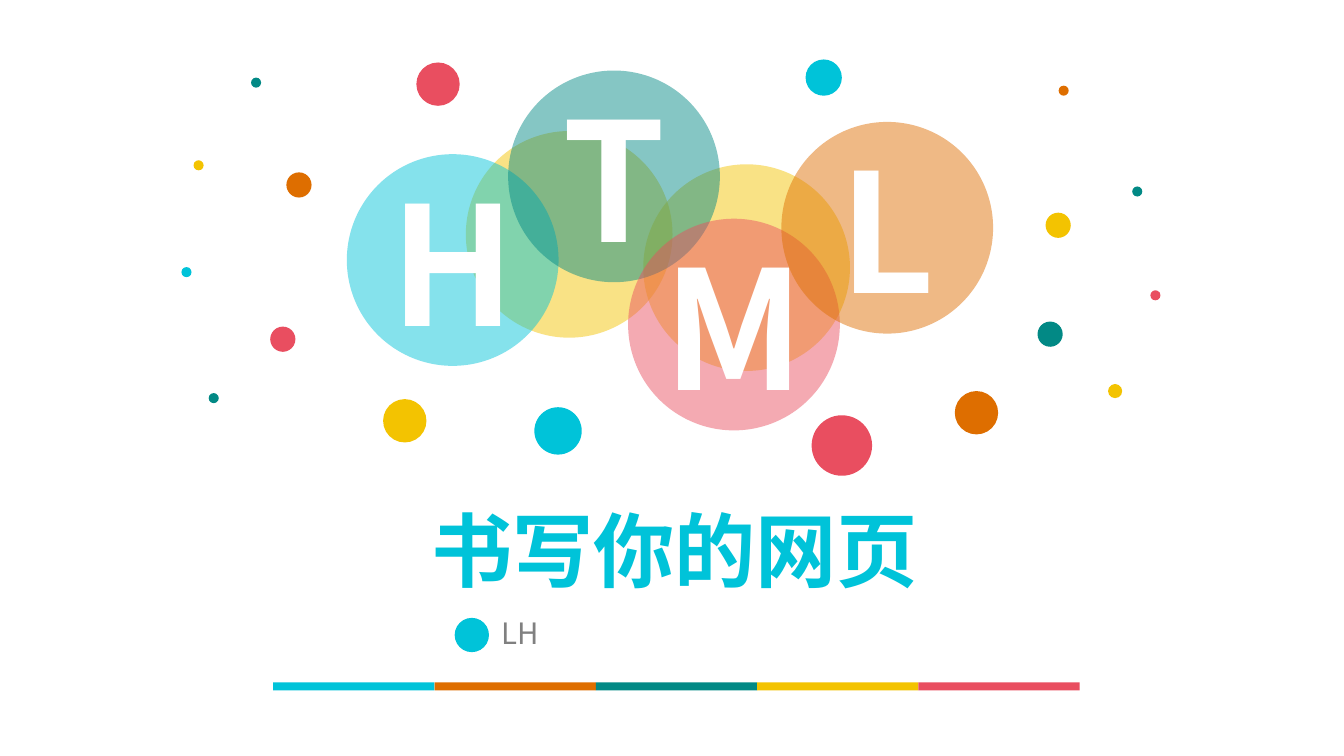
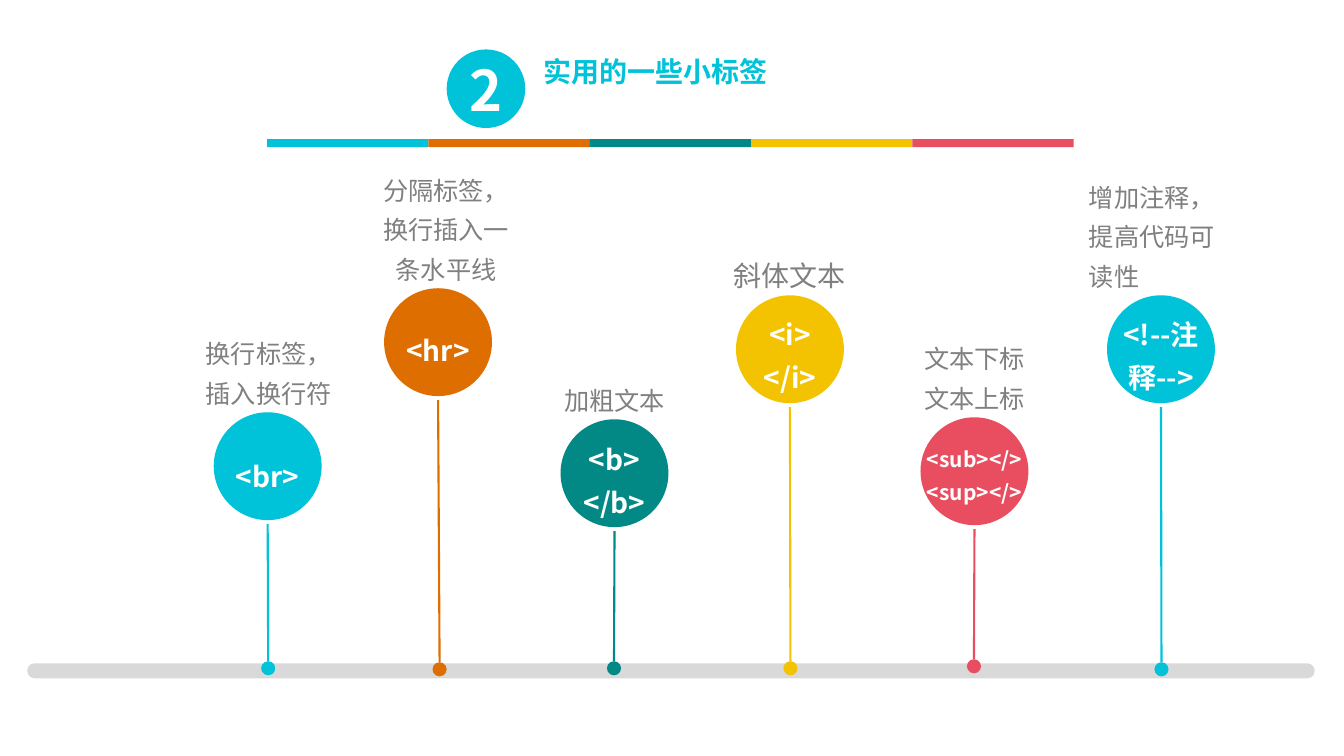
from dataclasses import dataclass

from lxml.etree import SubElement
from pptx import Presentation
from pptx.dml.color import RGBColor
from pptx.enum.shapes import MSO_CONNECTOR, MSO_SHAPE
from pptx.enum.text import MSO_ANCHOR, PP_ALIGN
from pptx.oxml.ns import qn
from pptx.util import Inches, Pt

CYAN = RGBColor(0x00, 0xC3, 0xD9)
ORANGE = RGBColor(0xDE, 0x6E, 0x00)
TEAL = RGBColor(0x02, 0x89, 0x85)
YELLOW = RGBColor(0xF3, 0xC3, 0x01)
RED = RGBColor(0xE9, 0x4E, 0x60)
GRAY = RGBColor(0x80, 0x80, 0x80)
LIGHT_GRAY = RGBColor(0xD9, 0xD9, 0xD9)
WHITE = RGBColor(0xFF, 0xFF, 0xFF)

FONT = "Noto Sans CJK SC"
BAND_COLORS = (CYAN, ORANGE, TEAL, YELLOW, RED)
BAND_STEP = 1.6
BALL_SIZE = 1.07
LABEL_WIDTH = 1.57
DOT_SIZE = 0.14
STEM_GAP = 0.04

LETTER_SIZE = 2.1
LETTERS = (
    ("H", 3.44, 1.53, CYAN),
    ("T", 5.04, 0.7, TEAL),
    ("M", 6.23, 2.17, RED),
    ("L", 7.75, 1.21, ORANGE),
)
BUBBLES = (
    (7.99, 0.59, 0.36, CYAN),
    (8.05, 4.12, 0.6, RED),
    (4.13, 0.62, 0.43, RED),
    (5.3, 4.04, 0.47, CYAN),
    (2.84, 1.71, 0.25, ORANGE),
    (2.49, 0.77, 0.1, TEAL),
    (1.92, 1.59, 0.1, YELLOW),
    (3.8, 3.96, 0.43, YELLOW),
    (2.68, 3.24, 0.25, RED),
    (1.8, 2.65, 0.1, CYAN),
    (2.07, 3.9, 0.1, TEAL),
    (10.37, 2.11, 0.25, YELLOW),
    (10.5, 0.85, 0.1, ORANGE),
    (11.23, 1.85, 0.1, TEAL),
    (9.47, 3.88, 0.43, ORANGE),
    (10.29, 3.19, 0.25, TEAL),
    (11.41, 2.88, 0.1, RED),
    (10.99, 3.81, 0.14, YELLOW),
)
ROOF = ((4.54, 6.3), (4.68, 6.16), (4.81, 6.3), (4.78, 6.32), (4.68, 6.2), (4.57, 6.32))
HOUSE = (
    (4.58, 6.32), (4.68, 6.22), (4.77, 6.32), (4.77, 6.41), (4.71, 6.41),
    (4.71, 6.32), (4.65, 6.32), (4.65, 6.41), (4.58, 6.41),
)


@dataclass
class Pin:
    tag: str
    label: str
    color: RGBColor
    left: float
    top: float
    tag_top: float
    label_left: float
    label_height: float
    dot_left: float
    dot_top: float
    tag_size: int = 20
    label_size: int = 18
    label_align: PP_ALIGN = PP_ALIGN.CENTER


PINS = (
    Pin("<br>", "换行标签，插入换行符", CYAN, 2.12, 4.09, 4.33, 1.88, 0.86, 2.59, 6.56),
    Pin("<hr>", "分隔标签，换行插入一条水平线", ORANGE, 3.81, 2.86, 3.08, 3.64, 1.25, 4.29, 6.57),
    Pin("<b>\n</b>", "加粗文本", TEAL, 5.56, 4.16, 4.37, 5.31, 0.47, 6.02, 6.56),
    Pin("<i>\n</i>", "斜体文本", YELLOW, 7.3, 2.93, 3.13, 7.05, 0.51, 7.77, 6.56,
        label_size=20),
    Pin("<sub></>\n<sup></>", "文本下标\n文本上标", RED, 9.13, 4.14, 4.33, 8.88, 0.86,
        9.59, 6.54, tag_size=15),
    Pin("<!--注释-->", "增加注释，提高代码可读性", CYAN, 10.98, 2.93, 3.13, 10.73, 1.25,
        11.45, 6.57, label_align=PP_ALIGN.LEFT),
)


def write_text(shape, text, size, color, bold=False, align=PP_ALIGN.LEFT,
               anchor=MSO_ANCHOR.MIDDLE, spacing=None, insets=(0, 0)):
    frame = shape.text_frame
    frame.word_wrap = True
    frame.vertical_anchor = anchor
    frame.margin_left = frame.margin_right = Inches(insets[0])
    frame.margin_top = frame.margin_bottom = Inches(insets[1])
    for index, line in enumerate(text.split("\n")):
        para = frame.add_paragraph() if index else frame.paragraphs[0]
        para.alignment = align
        if spacing:
            para.line_spacing = spacing
        span = para.add_run()
        span.text = line
        span.font.name = FONT
        span.font.size = Pt(size)
        span.font.bold = bold
        span.font.color.rgb = color
        SubElement(span.font._element, qn("a:ea")).set("typeface", FONT)


def add_text(page, text, left, top, width, height, **text_format):
    box = page.shapes.add_textbox(Inches(left), Inches(top), Inches(width), Inches(height))
    write_text(box, text, **text_format)
    return box


def paint(shape, color, opacity=None):
    shape.shadow.inherit = False
    shape.line.fill.background()
    shape.fill.solid()
    shape.fill.fore_color.rgb = color
    if opacity:
        tint = shape.fill._xPr.find(".//" + qn("a:srgbClr"))
        SubElement(tint, qn("a:alpha")).set("val", str(opacity * 1000))


def add_block(page, kind, left, top, width, height, color, opacity=None):
    block = page.shapes.add_shape(kind, Inches(left), Inches(top), Inches(width), Inches(height))
    paint(block, color, opacity)
    return block


def add_circle(page, left, top, size, color, opacity=None):
    return add_block(page, MSO_SHAPE.OVAL, left, top, size, size, color, opacity)


def add_bar(page, left, top, width, height, color):
    bar = add_block(page, MSO_SHAPE.ROUNDED_RECTANGLE, left, top, width, height, color)
    bar.adjustments[0] = 0.5
    return bar


def add_outline(page, points, color):
    builder = page.shapes.build_freeform(*points[0], scale=Inches(1))
    builder.add_line_segments(points[1:], close=True)
    paint(builder.convert_to_shape(), color)


def add_band(page, left, top):
    for index, color in enumerate(BAND_COLORS):
        add_block(page, MSO_SHAPE.RECTANGLE, left + index * BAND_STEP, top, BAND_STEP, 0.08, color)


def add_stem(page, left, top, dot, color):
    stem = page.shapes.add_connector(
        MSO_CONNECTOR.STRAIGHT, Inches(left), Inches(top), dot.left, dot.top)
    stem.end_connect(dot, 0)
    stem.line.color.rgb = color
    stem.line.width = Pt(1.5)
    SubElement(stem._element.spPr, qn("a:effectLst"))


def add_pin(page, pin):
    add_circle(page, pin.left, pin.top, BALL_SIZE, pin.color)
    add_text(page, pin.tag, pin.left, pin.tag_top, BALL_SIZE, 0.7,
             size=pin.tag_size, color=WHITE, bold=True, align=PP_ALIGN.CENTER, spacing=1.3)
    dot = add_bar(page, pin.dot_left, pin.dot_top, DOT_SIZE, DOT_SIZE, pin.color)
    add_stem(page, pin.left + BALL_SIZE / 2, pin.top + BALL_SIZE + STEM_GAP, dot, pin.color)
    add_text(page, pin.label, pin.label_left, pin.top - pin.label_height,
             LABEL_WIDTH, pin.label_height, size=pin.label_size, color=GRAY,
             align=pin.label_align, anchor=MSO_ANCHOR.TOP, spacing=1.3, insets=(0.07, 0.04))


def build_cover(page):
    for left, top in ((4.62, 1.3), (6.38, 1.63)):
        add_circle(page, left, top, 2.05, YELLOW, opacity=48)
    for letter, left, top, color in LETTERS:
        disc = add_circle(page, left, top, LETTER_SIZE, color, opacity=48)
        write_text(disc, letter, size=118, color=WHITE, bold=True, align=PP_ALIGN.CENTER)
    for bubble in BUBBLES:
        add_circle(page, *bubble)
    add_circle(page, 4.51, 6.13, 0.34, CYAN)
    add_outline(page, ROOF, WHITE)
    add_outline(page, HOUSE, WHITE)
    add_text(page, "LH", 4.9, 6.14, 4.01, 0.28, size=21, color=GRAY, insets=(0.07, 0.04))
    add_text(page, "书写你的网页", 1.77, 5.08, 9.84, 0.74,
             size=58, color=CYAN, bold=True, align=PP_ALIGN.CENTER, insets=(0.1, 0.05))
    add_band(page, 2.71, 6.77)


def build_tags(page):
    number = add_circle(page, 4.43, 0.49, 0.78, CYAN)
    write_text(number, "2", size=40, color=WHITE, bold=True, align=PP_ALIGN.CENTER)
    add_text(page, "实用的一些小标签", 5.31, 0.5, 2.88, 0.47,
             size=20, color=CYAN, bold=True, anchor=MSO_ANCHOR.TOP, insets=(0.08, 0.04))
    add_band(page, 2.65, 1.38)
    add_bar(page, 0.27, 6.58, 12.77, 0.15, LIGHT_GRAY)
    for pin in PINS:
        add_pin(page, pin)


def main():
    deck = Presentation()
    deck.slide_width = Inches(13.33)
    deck.slide_height = Inches(7.5)
    for build in (build_cover, build_tags):
        build(deck.slides.add_slide(deck.slide_layouts[6]))
    deck.save("out.pptx")


if __name__ == "__main__":
    main()
